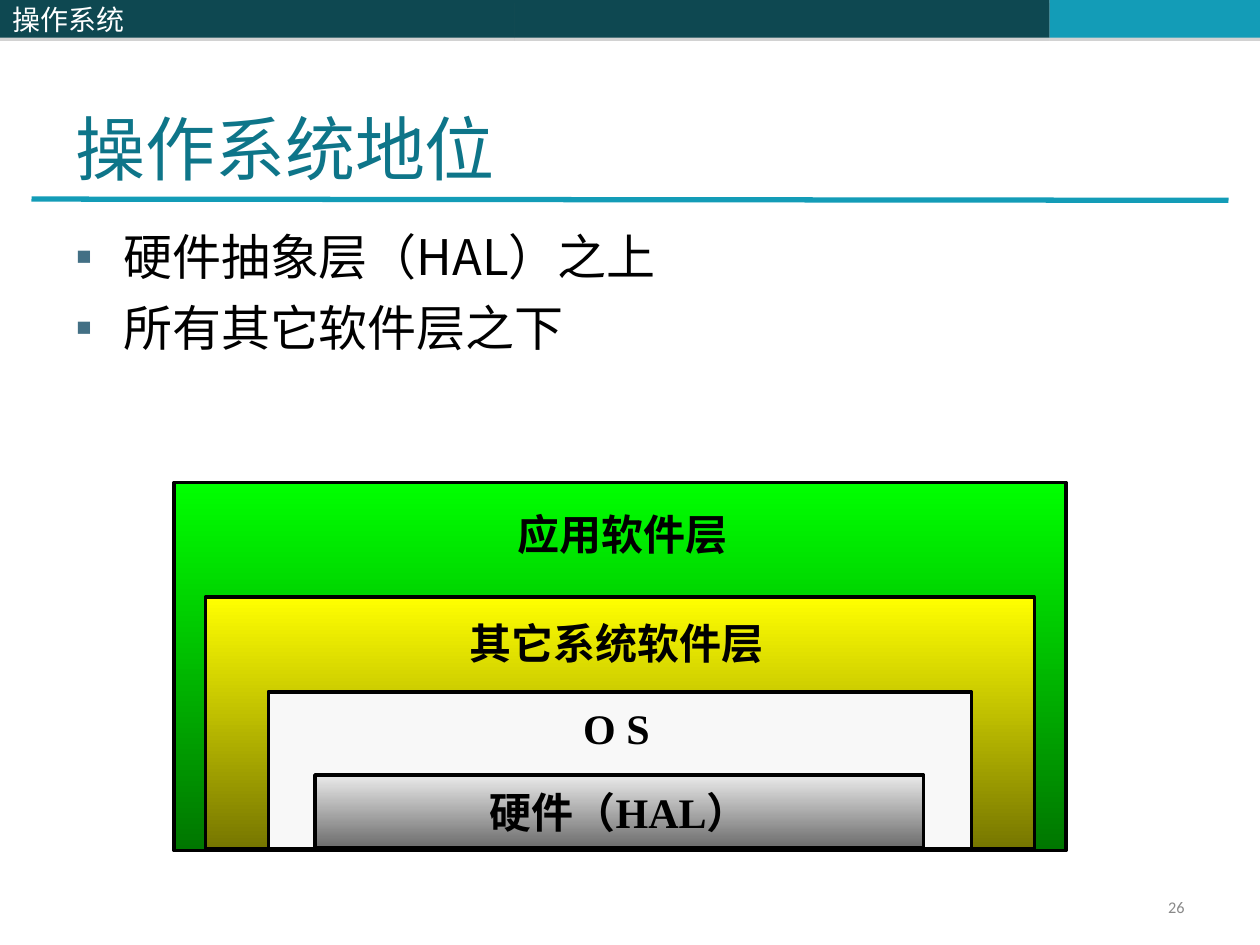
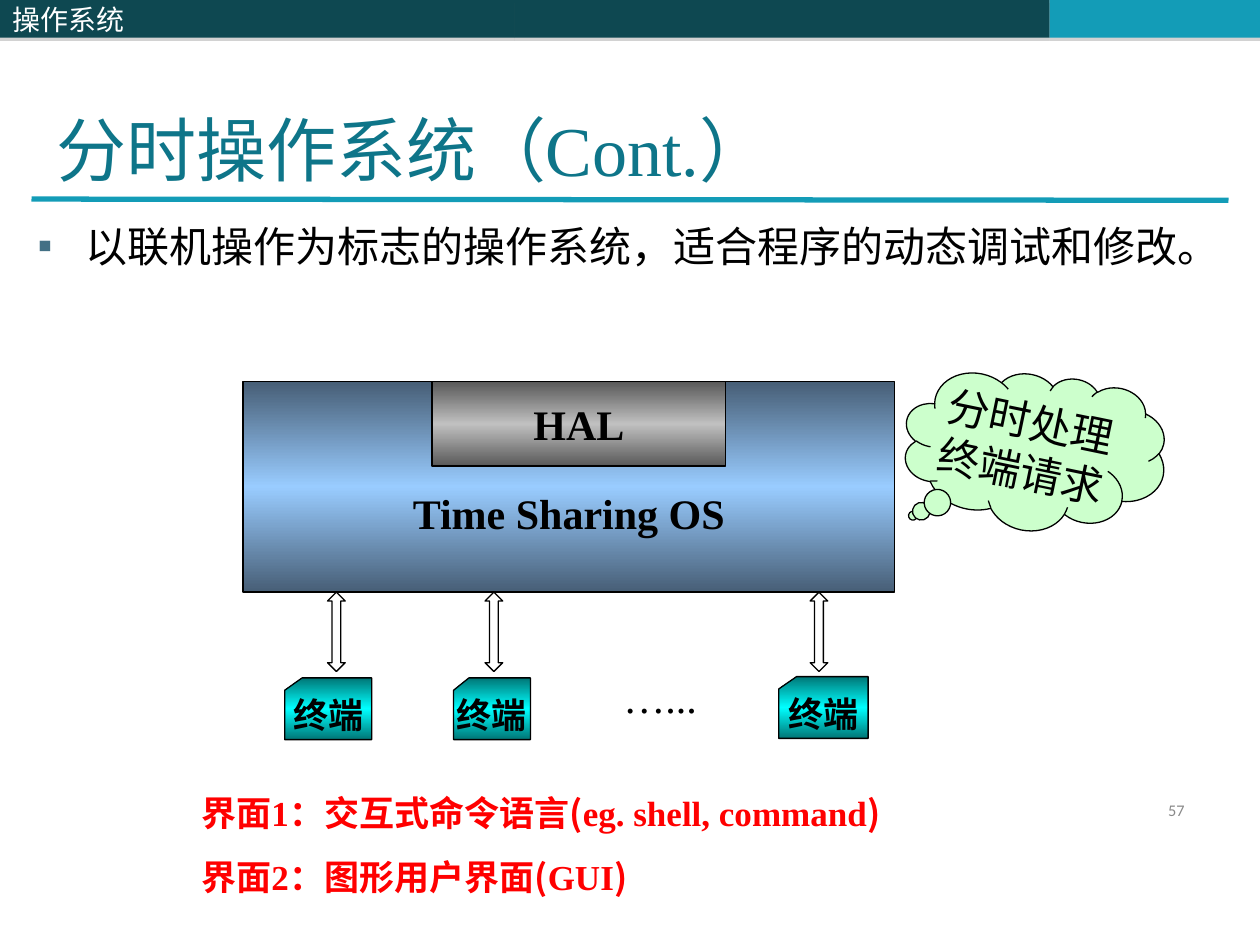
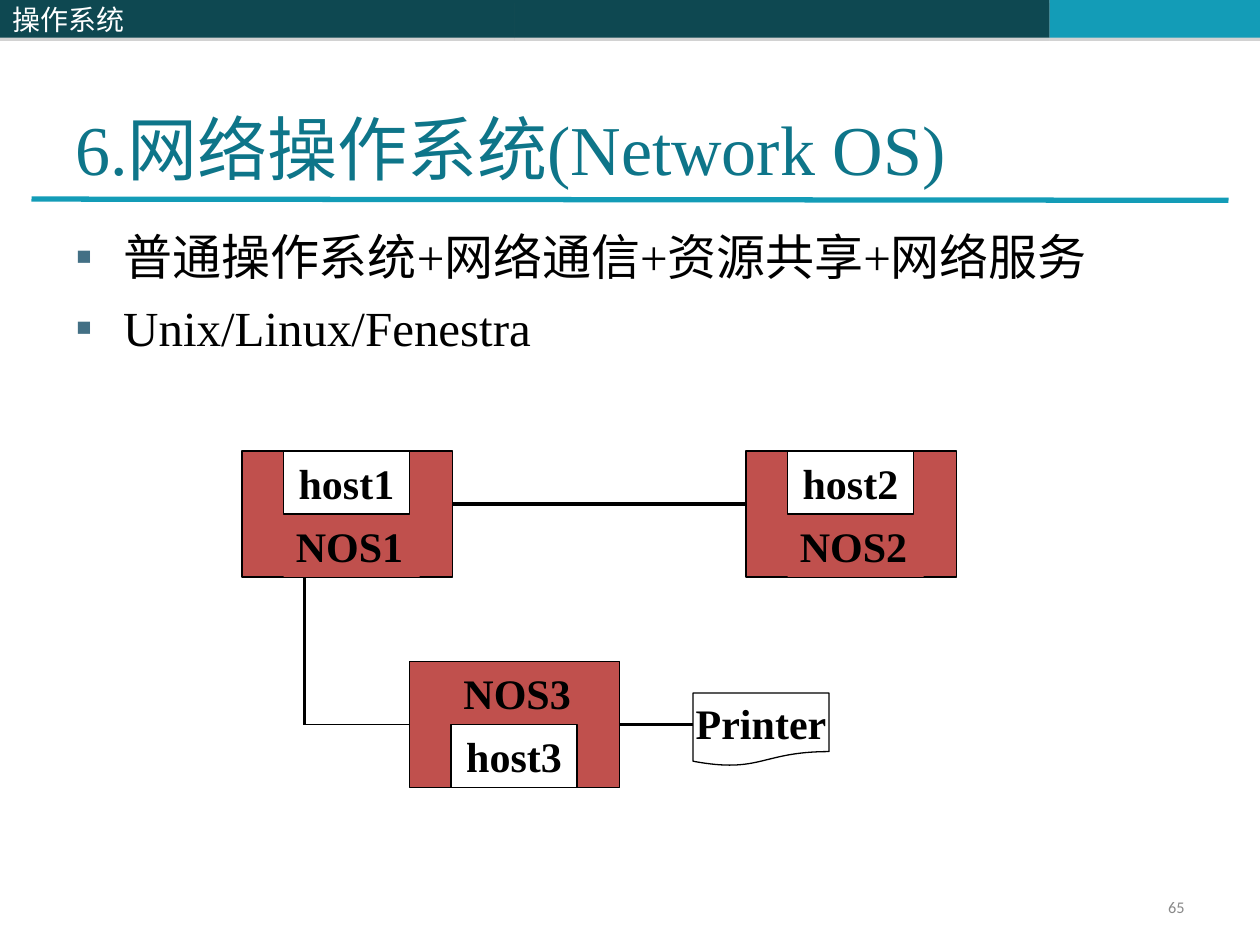
from dataclasses import dataclass
from typing import NamedTuple

from lxml.etree import SubElement
from pptx import Presentation
from pptx.dml.color import RGBColor
from pptx.enum.shapes import MSO_CONNECTOR, MSO_SHAPE
from pptx.enum.text import MSO_ANCHOR, PP_ALIGN
from pptx.oxml.ns import qn
from pptx.util import Inches, Pt


@dataclass(frozen=True)
class Style:
    size: float
    font: str
    color: str = "000000"
    bold: bool = False


class Theme:
    serif = "Times New Roman"
    cjk = "Noto Sans CJK SC"
    black, white = "000000", "FFFFFF"
    dark_band, accent, bullet = "0E4851", "139CB7", "437085"
    shadow = "808080"
    green = ("00FF00", "007600")
    yellow = ("FFFF00", "767600")
    silver = ("EAEAEA", "6C6C6C")
    pale = "F8F8F8"
    blue_sheen = ("475E76", "99CCFF", "475E76")
    gray_sheen = ("595959", "C0C0C0", "595959")
    cyan_sheen = ("007676", "00FFFF", "007676")
    mint, brick = "CCFFCC", "C0504D"

    header = Style(16, cjk, white)
    title = Style(40, serif, "0E7589")
    number = Style(9.3, "Calibri", "898989")
    body = Style(28, cjk)
    body_serif = Style(28, serif)
    body_small = Style(24, cjk)
    label = Style(24, serif, bold=True)
    plain = Style(24, serif)
    terminal = Style(20, serif, bold=True)
    notice = Style(20, serif, "FF0000", True)


class Box(NamedTuple):
    left: float
    top: float
    width: float
    height: float

    def inner(self, left, top, width, height):
        """Return a box whose place is counted from this box's corner."""
        return Box(self.left + left, self.top + top, width, height)

    def lengths(self):
        return [Inches(value) for value in self]


def write_text(shape, lines, style, align=PP_ALIGN.LEFT, anchor=MSO_ANCHOR.TOP,
               wrap=True, gap=0):
    """Fill a shape; in a line given as a tuple, every second span is in the CJK font."""
    frame = shape.text_frame
    frame.word_wrap = wrap
    frame.vertical_anchor = anchor
    for index, line in enumerate(lines):
        para = frame.add_paragraph() if index else frame.paragraphs[0]
        para.alignment = align
        if index and gap:
            para.space_before = Pt(gap)
        for position, text in enumerate(line if isinstance(line, tuple) else (line,)):
            span = para.add_run()
            span.text = text
            span.font.size = Pt(style.size)
            span.font.bold = style.bold
            span.font.color.rgb = RGBColor.from_string(style.color)
            span.font.name = Theme.cjk if position % 2 else style.font
            east_asian = SubElement(span.font._element, qn("a:ea"))
            east_asian.set("typeface", Theme.cjk)
    return frame


def add_text(page, box, lines, style, **layout):
    return write_text(page.shapes.add_textbox(*box.lengths()), lines, style, **layout)


def paint(shape, fill):
    """Apply one colour, or a top-to-bottom gradient of evenly spaced colours."""
    if isinstance(fill, str):
        shape.fill.solid()
        shape.fill.fore_color.rgb = RGBColor.from_string(fill)
        return
    shape.fill.gradient()
    shape.fill.gradient_angle = 270
    stops = shape._element.spPr.find(qn("a:gradFill")).find(qn("a:gsLst"))
    for stop in list(stops):
        stops.remove(stop)
    for index, color in enumerate(fill):
        stop = SubElement(stops, qn("a:gs"))
        stop.set("pos", str(100000 * index // (len(fill) - 1)))
        SubElement(stop, qn("a:srgbClr")).set("val", color)


def add_block(page, box, fill, text=None, style=Theme.label, kind=MSO_SHAPE.RECTANGLE,
              border=0.75):
    """Draw a preset shape with centred text; a border of 0 means no outline."""
    shape = page.shapes.add_shape(kind, *box.lengths())
    shape.shadow.inherit = False
    paint(shape, fill)
    if border:
        shape.line.color.rgb = RGBColor.from_string(Theme.black)
        shape.line.width = Pt(border)
    else:
        shape.line.fill.background()
    if text:
        write_text(shape, text.split("\n"), style, PP_ALIGN.CENTER,
                   MSO_ANCHOR.MIDDLE, wrap=False)
    return shape


def add_line(page, start, end, width, color=Theme.black):
    line = page.shapes.add_connector(
        MSO_CONNECTOR.STRAIGHT, *(Inches(value) for value in (*start, *end)))
    line.line.color.rgb = RGBColor.from_string(color)
    line.line.width = Pt(width)
    SubElement(line._element.spPr, qn("a:effectLst"))


def add_band(page, box, color):
    """Draw a piece of the header band with its thin shadow below."""
    band = add_block(page, box, color, border=0)
    effects = band._element.spPr.find(qn("a:effectLst"))
    shadow = SubElement(effects, qn("a:outerShdw"), dist=str(Pt(1.8)), dir="5400000",
                        rotWithShape="0")
    tint = SubElement(shadow, qn("a:srgbClr"), val=Theme.shadow)
    SubElement(tint, qn("a:alpha"), val="35000")
    return band


def add_bullets(page, box, lines, style):
    frame = add_text(page, box, lines, style, gap=7)
    for para in frame.paragraphs:
        settings = para._p.get_or_add_pPr()
        settings.set("marL", str(Inches(0.38)))
        settings.set("indent", str(Inches(-0.38)))
        color = SubElement(settings, qn("a:buClr"))
        SubElement(color, qn("a:srgbClr"), val=Theme.bullet)
        SubElement(settings, qn("a:buFont"), typeface=Theme.serif)
        SubElement(settings, qn("a:buChar"), char="▪")


def add_page(deck, title, number, title_box=Box(0.5, 0.3, 9, 1.25), number_top=7.08):
    """Add a slide with the header band, title, rule and slide number."""
    page = deck.slides.add_slide(deck.slide_layouts[6])
    add_band(page, Box(4.08, 0, 4.25, 0.3), Theme.dark_band)
    add_band(page, Box(8.33, 0, 1.67, 0.3), Theme.accent)
    add_line(page, (0.25, 1.58), (9.75, 1.59), 3, Theme.accent)
    header = add_band(page, Box(0, 0, 4.08, 0.3), Theme.dark_band)
    write_text(header, ["操作系统"], Theme.header, anchor=MSO_ANCHOR.MIDDLE)
    add_text(page, title_box, [title], Theme.title, anchor=MSO_ANCHOR.BOTTOM)
    frame = add_text(page, Box(7.17, number_top, 2.33, 0.27), [str(number)],
                     Theme.number, align=PP_ALIGN.RIGHT, anchor=MSO_ANCHOR.MIDDLE)
    frame.paragraphs[0].line_spacing = 0.8
    return page


def add_software_layers(page, area):
    for box, fill in (
        (Box(0, 0, 7.08, 2.92), Theme.green),
        (Box(0.25, 0.91, 6.58, 2), Theme.yellow),
        (Box(0.75, 1.66, 5.58, 1.25), Theme.pale),
    ):
        add_block(page, area.inner(*box), fill, border=2)
    add_block(page, area.inner(1.12, 2.32, 4.83, 0.58), Theme.silver, "硬件（HAL）",
              border=2)
    for box, text in (
        (Box(3.15, 1.7, 0.85, 0.5), "O S"),
        (Box(2.25, 1.02, 2.53, 0.5), "其它系统软件层"),
        (Box(2.63, 0.16, 2, 0.5), "应用软件层"),
    ):
        add_text(page, area.inner(*box), [text], Theme.label)


def add_time_sharing_system(page, area):
    system = add_block(page, area.inner(0, 0, 5.17, 1.67), Theme.blue_sheen,
                       "Time Sharing OS")
    system.text_frame.margin_top = Inches(0.45)
    add_block(page, area.inner(1.5, 0, 2.33, 0.67), Theme.gray_sheen, "HAL")
    for left, top, width, arrow_left in (
        (0.33, 2.35, 0.69, 0.67), (1.67, 2.35, 0.61, 1.92), (4.25, 2.34, 0.71, 4.5),
    ):
        add_block(page, area.inner(left, top, width, 0.49), Theme.cyan_sheen, "终端",
                  Theme.terminal, MSO_SHAPE.FLOWCHART_CARD)
        arrow = add_block(page, area.inner(arrow_left, 1.67, 0.14, 0.63), Theme.white,
                          kind=MSO_SHAPE.UP_DOWN_ARROW)
        arrow.adjustments[0] = 0.915
        arrow.adjustments[1] = 0.5
    add_text(page, area.inner(2.92, 2.25, 0.83, 0.5), ["…..."], Theme.plain)


def add_thought_cloud(page, box):
    cloud = add_block(page, box, Theme.mint, "分时处理\n终端请求", Theme.plain,
                      MSO_SHAPE.CLOUD_CALLOUT)
    cloud.rotation = 11.7
    cloud.adjustments[0] = -0.404
    cloud.adjustments[1] = 0.554


def add_network_node(page, box, index, host_below=False):
    """Draw a network system with its host at the top or bottom edge."""
    host_top, name_top = (0.5, 0) if host_below else (0, 0.5)
    add_block(page, box, Theme.brick)
    name_box = box.inner(0.33, name_top, 1.08, 0.5)
    if host_below:
        add_text(page, name_box, [f"NOS{index}"], Theme.label)
    else:
        name = add_block(page, name_box, Theme.brick, border=0)
        write_text(name, [f"NOS{index}"], Theme.label)
    add_block(page, box.inner(0.33, host_top, 1, 0.5), Theme.white, f"host{index}")


def add_network(page, area):
    def point(left, top):
        return area.left + left, area.top + top

    for start, end, width in (
        (point(0.5, 0.99), point(0.5, 2.17), 1.75),
        (point(0.5, 2.17), point(1.33, 2.17), 0.75),
        (point(1.66, 0.42), point(4, 0.42), 1.75),
        (point(3, 2.17), point(3.58, 2.17), 1.75),
    ):
        add_line(page, start, end, width)
    add_network_node(page, area.inner(0, 0, 1.67, 1), 1)
    add_network_node(page, area.inner(4, 0, 1.67, 1), 2)
    add_network_node(page, area.inner(1.33, 1.67, 1.67, 1), 3, host_below=True)
    add_block(page, area.inner(3.58, 1.92, 1.08, 0.58), Theme.white, "Printer",
              kind=MSO_SHAPE.FLOWCHART_DOCUMENT)


def build_position_page(deck):
    page = add_page(deck, "操作系统地位", 26)
    add_bullets(page, Box(0.5, 1.75, 9, 5.42),
                ["硬件抽象层（HAL）之上", "所有其它软件层之下"], Theme.body)
    add_software_layers(page, Box(1.38, 3.83, 7.08, 2.92))


def build_time_sharing_page(deck):
    page = add_page(deck, "分时操作系统（Cont.）", 57, Box(0.35, 0.48, 8.5, 1.08), 6.31)
    add_bullets(page, Box(0.2, 1.7, 9.6, 4.5),
                ["以联机操作为标志的操作系统，适合程序的动态调试和修改。"], Theme.body_small)
    add_thought_cloud(page, Box(7.17, 2.95, 2.08, 1.26))
    add_time_sharing_system(page, Box(1.93, 3.03, 5.17, 2.84))
    add_text(page, Box(1.5, 6.23, 7, 0.94), [
        ("界面1：交互式命令语言", "(", "eg. shell, command", ")"),
        ("界面2：图形用户界面", "(", "GUI", ")"),
    ], Theme.notice, gap=12.5)


def build_network_page(deck):
    page = add_page(deck, "6.网络操作系统(Network OS)", 65)
    add_bullets(page, Box(0.5, 1.75, 9, 1.67),
                ["普通操作系统+网络通信+资源共享+网络服务", "Unix/Linux/Fenestra"],
                Theme.body_serif)
    add_network(page, Box(1.92, 3.58, 5.67, 2.67))


def main():
    deck = Presentation()
    deck.slide_width, deck.slide_height = Inches(10), Inches(7.5)
    build_position_page(deck)
    build_time_sharing_page(deck)
    build_network_page(deck)
    deck.save("out.pptx")


if __name__ == "__main__":
    main()
